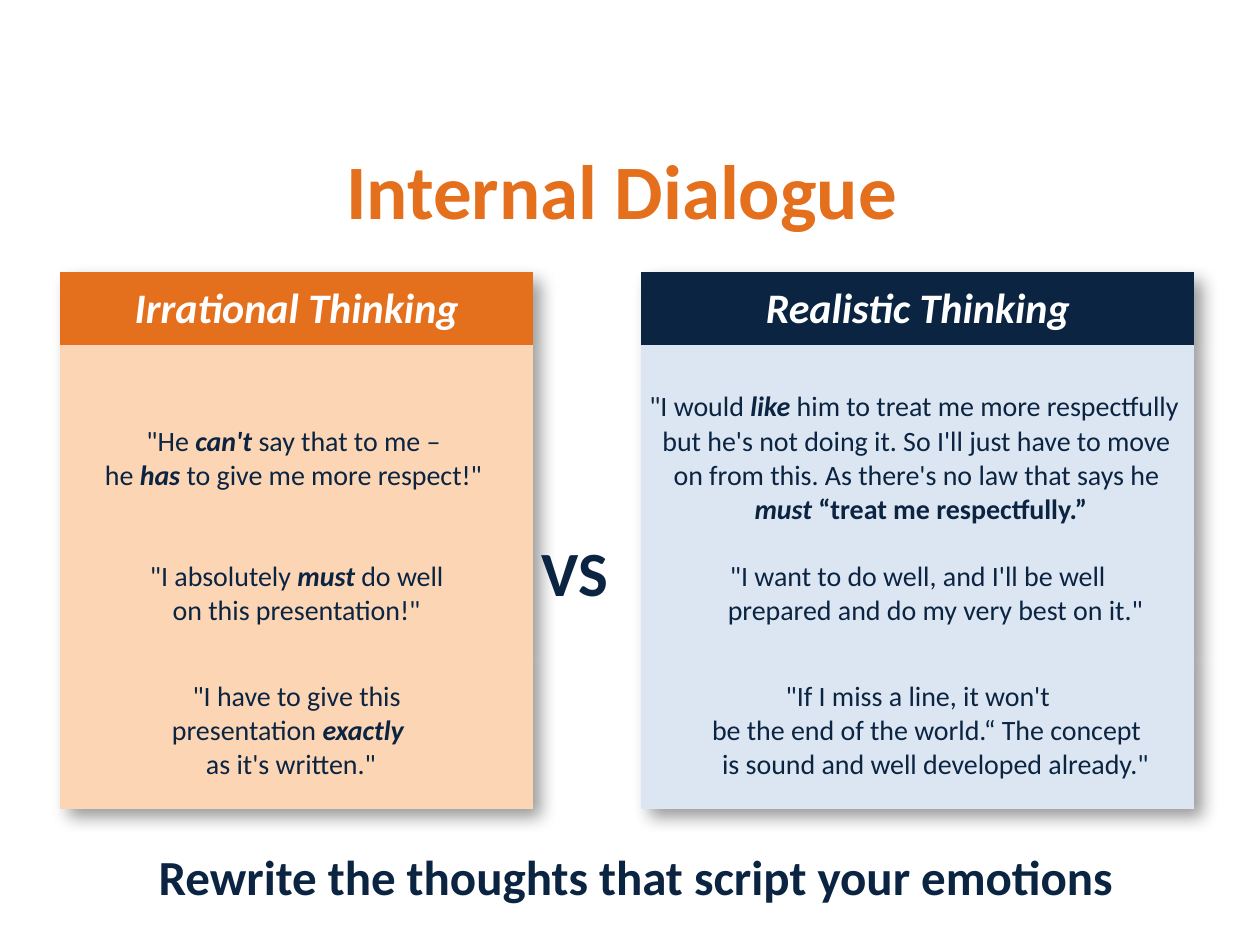
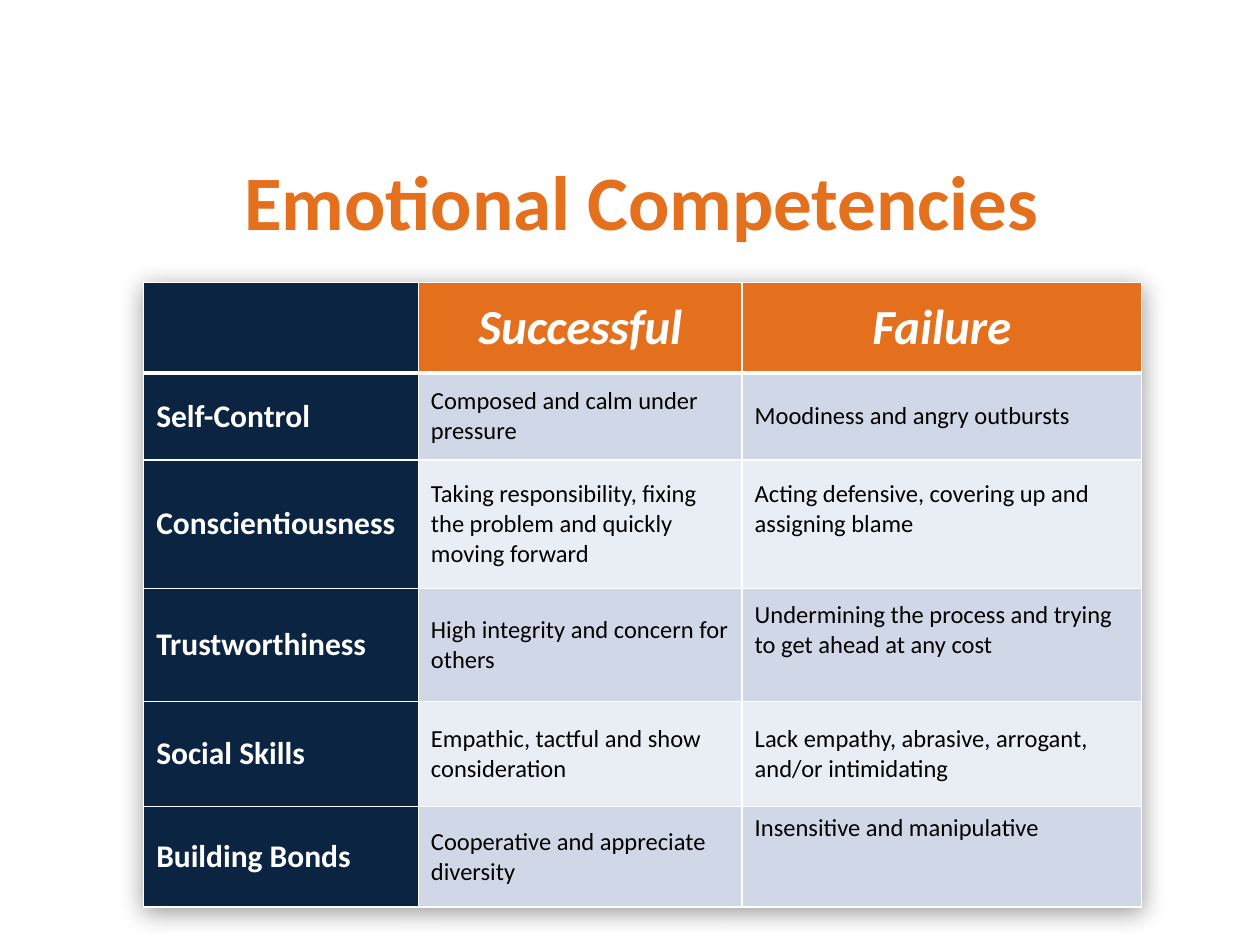
from dataclasses import dataclass
from typing import NamedTuple

import lxml.etree
import pptx
import pptx.dml.color
import pptx.enum.text
import pptx.oxml.ns
import pptx.slide
import pptx.table
import pptx.text.text
import pptx.util

Inches = pptx.util.Inches
Pt = pptx.util.Pt
qn = pptx.oxml.ns.qn
Align = pptx.enum.text.PP_ALIGN
Anchor = pptx.enum.text.MSO_ANCHOR

FONT = "Calibri"
PLAIN = "{2D5ABB26-0587-4C30-8999-92F81FD0307C}"
COLORS = {
    "orange": "E46F1C",
    "navy": "0B2442",
    "peach": "FCD5B5",
    "ice": "DCE6F2",
    "mist": "D0D8E8",
    "pale": "E9EDF4",
    "white": "FFFFFF",
    "black": "000000",
}


class Bit(NamedTuple):
    text: str
    mark: str = ""


class Line(NamedTuple):
    bits: tuple[Bit, ...]
    shift: float = 0


class Style(NamedTuple):
    size: int
    color: str
    mark: str = ""
    align: Align = Align.CENTER


class Pad(NamedTuple):
    left: float = 0.1
    top: float = 0.05
    right: float = 0.1
    base: float = 0.05


class Box(NamedTuple):
    left: float
    top: float
    width: float
    height: float


class Shade(NamedTuple):
    blur: float
    dist: float
    angle: int
    alpha: int


@dataclass
class Cell:
    lines: tuple[Line, ...] = ()
    style: Style = Style(16, "navy")
    fill: str = ""
    pad: Pad = Pad()
    anchor: Anchor = Anchor.MIDDLE


TITLE = Style(44, "orange", "b", Align.LEFT)
CLOSE = Style(28, "navy", "b")
HEAD = Style(24, "white", "bi")
QUOTE = Style(16, "navy")
VERSUS = Style(36, "navy", "b")
TOP = Style(28, "white", "bi")
SKILL = Style(18, "white", "b", Align.LEFT)
TRAIT = Style(14, "black", "", Align.LEFT)
TIGHT = Pad(0.01, 0.01, 0.01, 0)


def line(*parts: str | Bit, shift: float = 0) -> Line:
    return Line(tuple(Bit(p) if isinstance(p, str) else p for p in parts), shift)


def strong(text: str) -> Bit:
    return Bit(text, "bi")


QUOTES = (
    (
        (
            line('"He ', strong("can't "), "say that to me –", shift=-0.05),
            line("he ", strong("has "), 'to give me more respect!"'),
        ),
        (
            line('"I would ', strong("like"), " him to treat me more respectfully", shift=-0.06),
            line("but he's not doing it. So I'll just have to move", shift=0.04),
            line("on from this. As there's no law that says he", shift=-0.02),
            line(strong("must "), Bit("“treat me respectfully.”", "b"), shift=0.07),
        ),
    ),
    (
        (
            line('"I absolutely ', strong("must "), "do well"),
            line('on this presentation!"'),
        ),
        (
            line('"I want to do well, and I\'ll be well'),
            line('prepared and do my very best on it."', shift=0.28),
        ),
    ),
    (
        (
            line('"I have to give this'),
            line("presentation ", strong("exactly"), shift=-0.14),
            line('as it\'s written."', shift=0.05),
        ),
        (
            line('"If I miss a line, it won\'t'),
            line("be the end of the world.“ The concept", shift=0.14),
            line('is sound and well developed already."', shift=0.28),
        ),
    ),
)

SKILLS = (
    ("Self-Control", "Composed and calm under pressure",
     "Moodiness and angry outbursts", 0),
    ("Conscientiousness",
     "Taking responsibility, fixing the problem and quickly moving forward",
     "Acting defensive, covering up and assigning blame", 0.24),
    ("Trustworthiness", "High integrity and concern for others",
     "Undermining the process and trying to get ahead at any cost", 0.24),
    ("Social Skills", "Empathic, tactful and show consideration",
     "Lack empathy, abrasive, arrogant, and/or intimidating", 0),
    ("Building Bonds", "Cooperative and appreciate diversity",
     "Insensitive and manipulative", 0.46),
)


def tint(name: str) -> pptx.dml.color.RGBColor:
    return pptx.dml.color.RGBColor.from_string(COLORS[name])


def write(frame: pptx.text.text.TextFrame, lines: tuple[Line, ...], style: Style) -> None:
    for i, row in enumerate(lines):
        para = frame.add_paragraph() if i else frame.paragraphs[0]
        para.alignment = style.align
        if row.shift:
            side = "marL" if row.shift > 0 else "marR"
            para._p.get_or_add_pPr().set(side, str(Inches(abs(row.shift))))
        for bit in row.bits:
            run = para.add_run()
            run.text = bit.text
            mark = style.mark + bit.mark
            font = run.font
            font.name = FONT
            font.size = Pt(style.size)
            font.bold = "b" in mark
            font.italic = "i" in mark
            font.color.rgb = tint(style.color)


def label(slide: pptx.slide.Slide, box: Box, text: Line, style: Style, wrap: bool) -> None:
    frame = slide.shapes.add_textbox(*map(Inches, box)).text_frame
    frame.word_wrap = wrap
    frame.auto_size = pptx.enum.text.MSO_AUTO_SIZE.SHAPE_TO_FIT_TEXT
    write(frame, (text,), style)


def edge(cell: pptx.table._Cell, side: str, width: float) -> None:
    rule = lxml.etree.SubElement(
        cell._tc.get_or_add_tcPr(), qn(f"a:ln{side}"), w=str(Pt(width)))
    fill = lxml.etree.SubElement(rule, qn("a:solidFill"))
    lxml.etree.SubElement(fill, qn("a:srgbClr"), val=COLORS["white"])


def paint(cell: pptx.table._Cell, data: Cell) -> None:
    cell.margin_left, cell.margin_top, cell.margin_right, cell.margin_bottom = map(
        Inches, data.pad)
    cell.vertical_anchor = data.anchor
    if data.fill:
        cell.fill.solid()
        cell.fill.fore_color.rgb = tint(data.fill)
    else:
        cell.fill.background()
    if data.lines:
        write(cell.text_frame, data.lines, data.style)
    else:
        para = cell.text_frame.paragraphs[0]._p
        lxml.etree.SubElement(para, qn("a:endParaRPr"), sz=str(data.style.size * 100))


def cast(table: pptx.table.Table, shade: Shade) -> None:
    props = table._tbl.tblPr
    props.find(qn("a:tableStyleId")).text = PLAIN
    effect = lxml.etree.Element(qn("a:effectLst"))
    props.insert(0, effect)
    drop = lxml.etree.SubElement(
        effect, qn("a:outerShdw"), blurRad=str(Inches(shade.blur)),
        dist=str(Inches(shade.dist)), dir=str(shade.angle * 60000),
        algn="tl", rotWithShape="0")
    color = lxml.etree.SubElement(drop, qn("a:srgbClr"), val=COLORS["black"])
    lxml.etree.SubElement(color, qn("a:alpha"), val=str(shade.alpha * 1000))


def grid(slide: pptx.slide.Slide, left: float, top: float, cols: tuple[float, ...],
         rows: tuple[float, ...], cells: list[list[Cell]], shade: Shade,
         ruled: bool = False) -> None:
    box = Box(left, top, sum(cols), sum(rows))
    table = slide.shapes.add_table(len(rows), len(cols), *map(Inches, box)).table
    cast(table, shade)
    for col, width in zip(table.columns, cols):
        col.width = Inches(width)
    for row, height in zip(table.rows, rows):
        row.height = Inches(height)
    for r, items in enumerate(cells):
        for c, data in enumerate(items):
            cell = table.cell(r, c)
            if ruled:
                for side in "LRTB":
                    thick = (r, side) in ((0, "B"), (1, "T"))
                    edge(cell, side, 3 if thick else 1)
            paint(cell, data)


def talk(slide: pptx.slide.Slide) -> None:
    label(slide, Box(2.65, 1.08, 4.66, 0.84), line("Internal Dialogue"), TITLE, False)
    label(slide, Box(0.33, 6.67, 8.88, 0.57),
          line("Rewrite the thoughts that script your emotions", shift=0.55), CLOSE, True)
    blank = Cell(pad=TIGHT)
    cells = [
        [Cell((line("Irrational Thinking"),), HEAD, "orange", TIGHT), blank,
         Cell((line("Realistic Thinking"),), HEAD, "navy", TIGHT)],
        [Cell(fill="peach", pad=TIGHT), blank, Cell(fill="ice", pad=TIGHT)],
    ]
    for left, right in QUOTES:
        cells.append([Cell(left, QUOTE, "peach", TIGHT), blank,
                      Cell(right, QUOTE, "ice", TIGHT)])
    cells[3][1] = Cell((line("VS", shift=-0.2),), VERSUS, "", TIGHT, Anchor.TOP)
    grid(slide, 0.48, 2.16, (3.75, 0.86, 4.39), (0.58, 0.28, 1.23, 0.92, 1.25),
         cells, Shade(0.14, 0.1, 45, 40))


def skills(slide: pptx.slide.Slide) -> None:
    label(slide, Box(1.84, 1.17, 6.51, 0.84), line("Emotional Competencies"), TITLE, False)
    cells = [[Cell(fill="navy")] + [
        Cell((line(text),), TOP, "orange") for text in ("Successful", "Failure")]]
    for i, (name, good, bad, lift) in enumerate(SKILLS):
        band = "pale" if i % 2 else "mist"
        cells.append([
            Cell((line(name),), SKILL, "navy"),
            Cell((line(good),), TRAIT, band),
            Cell((line(bad),), TRAIT, band, Pad(base=0.05 + lift)),
        ])
    grid(slide, 1.14, 2.24, (2.18, 2.57, 3.17), (0.72, 0.69, 1.02, 0.9, 0.83, 0.8),
         cells, Shade(0.2, 0.04, 90, 40), True)


def main() -> None:
    deck = pptx.Presentation()
    deck.slide_width = Inches(10)
    deck.slide_height = Inches(7.5)
    for build in (talk, skills):
        build(deck.slides.add_slide(deck.slide_layouts[6]))
    deck.save("out.pptx")


if __name__ == "__main__":
    main()
